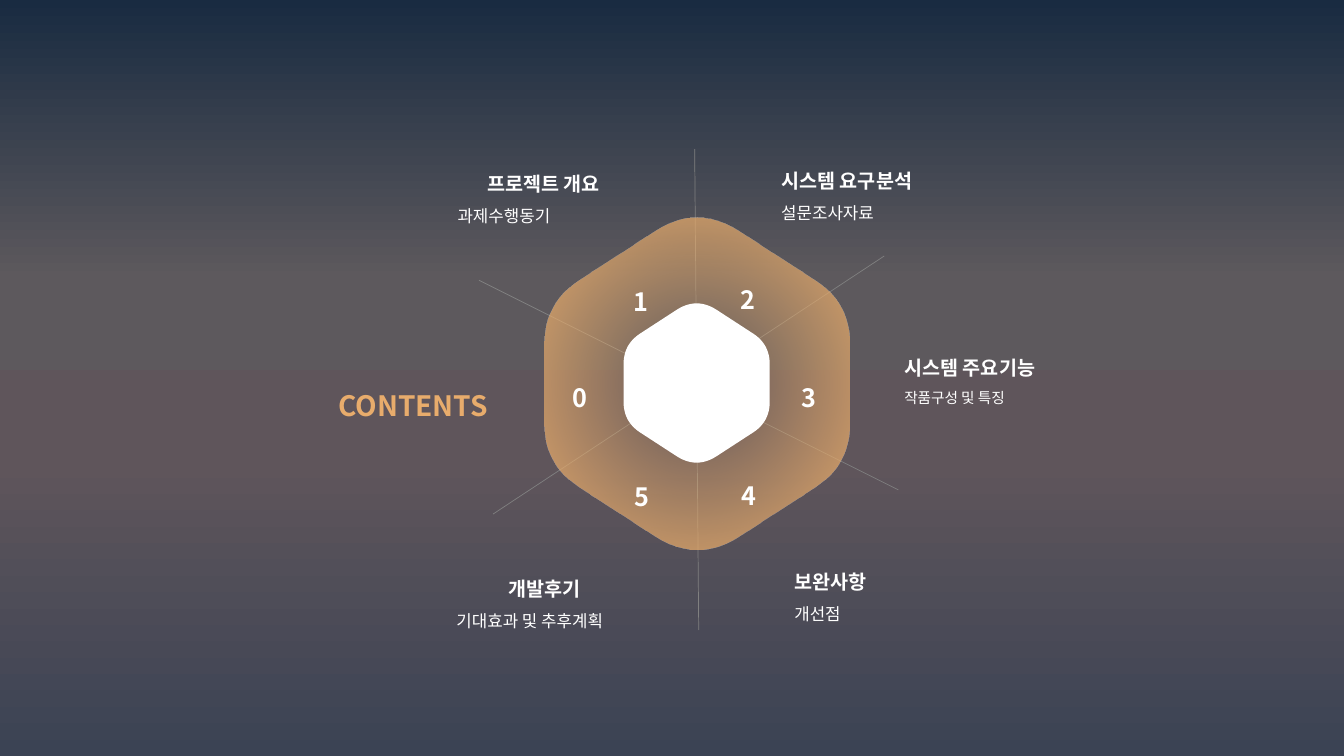
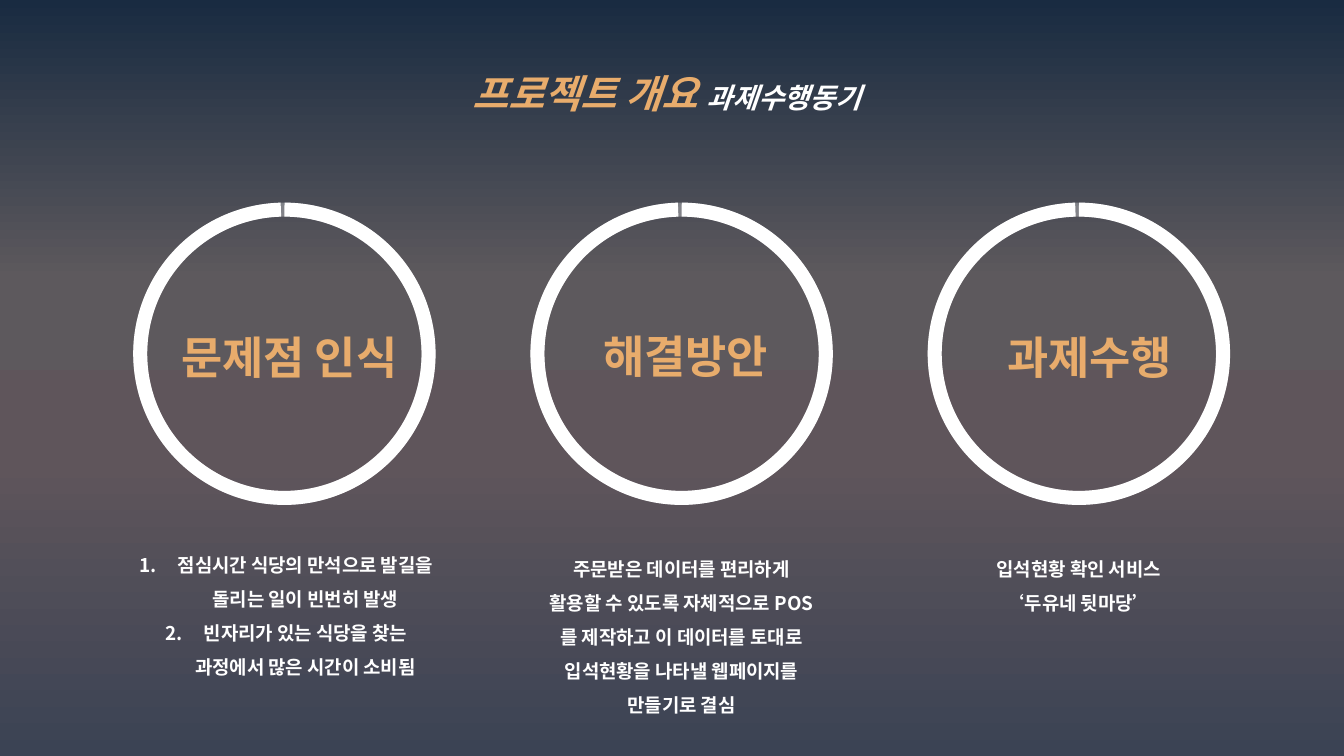
from math import hypot
from lxml.etree import SubElement as Sub
from pptx import Presentation
from pptx.dml.color import RGBColor as Rgb
from pptx.enum.shapes import MSO_CONNECTOR as Conn, MSO_SHAPE as Kind
from pptx.enum.text import MSO_ANCHOR as Anchor, MSO_AUTO_SIZE as Fit, PP_ALIGN as Align
from pptx.oxml.ns import qn
from pptx.util import Inches, Pt

FACE = "Noto Sans CJK KR"
HUE = {"navy": "192B41", "stone": "5D595D", "mauve": "5F555B", "slate": "3B4354",
       "gold": "E8AC6C", "white": "FFFFFF", "gray": "808080"}
BACK = [(0, "navy", 100), (37, "stone", 100), (61, "mauve", 100), (100, "slate", 100)]
GLOW = [(0, "gold", 0), (100, "gold", 100)]

# Hexagon: centre, corner points and rounding length of each corner
MID = (6.91, 3.8)
CORNERS = [(0, -1.78, 0.49), (1.51, -0.8, 0.41), (1.51, 0.8, 0.41),
           (0, 1.78, 0.49), (-1.51, 0.8, 0.41), (-1.51, -0.8, 0.41)]
SPOKES = [(4.75, 2.78, 8.91, 4.86), (4.89, 5.1, 8.77, 2.54), (6.93, 6.25, 6.89, 1.48)]
DIGITS = [("0", 5.75, 3.59), ("1", 6.36, 2.64), ("2", 7.42, 2.62),
          ("3", 8.02, 3.59), ("4", 7.43, 4.57), ("5", 6.37, 4.58)]
# Left, top, heading, its indent, detail, its indent, detail size (no indent: right-aligned)
TOPICS = [
    (2.46, 1.54, "프로젝트 개요", None, "과제수행동기", 1.98, 12),
    (7.65, 1.51, "시스템 요구분석", 0, "설문조사자료", 0, 12),
    (8.87, 3.37, "시스템 주요기능", 0, "작품구성 및 특징", 0, 10.5),
    (7.78, 5.49, "보완사항", 0, "개선점", 0, 12),
    (2.49, 5.56, "개발후기", 2.45, "기대효과 및 추후계획", None, 12),
]
# Heading, its shift and top, body box, body rows, numbered or not
STEPS = [
    ("문제점 인식", 0.05, 3.22, (1.22, 5.33, 3.24, 1.42),
     ["점심시간 식당의 만석으로 발길을 돌리는 일이 빈번히 발생",
      "빈자리가 있는 식당을 찾는 과정에서 많은 시간이 소비됨"], True),
    ("해결방안", 0.04, 3.21, (5.33, 5.37, 2.86, 1.82),
     ["주문받은 데이터를 편리하게 활용할 수 있도록 자체적으로 POS를 제작하고 "
      "이 데이터를 토대로 입석현황을 나타낼 웹페이지를 만들기로 결심"], False),
    ("과제수행", 0.11, 3.22, (9.27, 5.37, 2.86, 0.74),
     ["입석현황 확인 서비스", "‘두유네 뒷마당’"], False),
]


def rgb(name):
    return Rgb.from_string(HUE[name])


def place(box):
    return [Inches(v) for v in box]


def ramp(node, stops, angle=None):
    """Fill the gradient in node: linear with an angle, else from the centre."""
    grad = next(node.iter(qn("a:gradFill")))
    grad.clear()
    items = Sub(grad, qn("a:gsLst"))
    for pos, name, alpha in stops:
        stop = Sub(items, qn("a:gs"), pos=str(pos * 1000))
        tint = Sub(stop, qn("a:srgbClr"), val=HUE[name])
        if alpha < 100:
            Sub(tint, qn("a:alpha"), val=str(alpha * 1000))
    if angle is None:
        ring = Sub(grad, qn("a:path"), path="circle")
        Sub(ring, qn("a:fillToRect"), dict.fromkeys("ltrb", "50000"))
    else:
        Sub(grad, qn("a:lin"), ang=str(angle * 60000), scaled="0")


def style(font, size, hue="white", bold=True, slant=False):
    font.name, font.size, font.bold, font.italic = FACE, Pt(size), bold, slant
    font.color.rgb = rgb(hue)
    Sub(font._rPr, qn("a:ea"), typeface=FACE)


def row(frame, text, align, space=1.5):
    """Use the first empty paragraph, or add one."""
    para = frame.paragraphs[0]
    if para.runs:
        para = frame.add_paragraph()
    para.add_run().text = text
    para.alignment, para.line_spacing = align, space
    return para


def indent(para, left, first=0):
    props = para._p.get_or_add_pPr()
    props.set("marL", str(Inches(left)))
    props.set("indent", str(Inches(first)))
    return props


def area(slide, box):
    frame = slide.shapes.add_textbox(*place(box)).text_frame
    frame.word_wrap = True
    return frame


def head(slide, box):
    """Move the title placeholder and return its empty frame."""
    title = slide.shapes.title
    title.left, title.top, title.width, title.height = place(box)
    frame = title.text_frame
    frame.word_wrap, frame.auto_size = True, Fit.NONE
    frame.vertical_anchor = Anchor.TOP
    return frame


def spoke(slide, ends):
    line = slide.shapes.add_connector(Conn.STRAIGHT, *place(ends))
    line.line.color.rgb, line.line.width = rgb("gray"), Pt(0.5)
    Sub(line.element.spPr, qn("a:effectLst"))


def toward(start, end, reach):
    """Point at a given distance from start on the way to end."""
    part = reach / hypot(end[0] - start[0], end[1] - start[1])
    return [a + (b - a) * part for a, b in zip(start, end)]


def hexagon(slide, scale):
    dots = []
    for i, (x, y, reach) in enumerate(CORNERS):
        tip = (x, y)
        a = toward(tip, CORNERS[i - 1][:2], reach)
        b = toward(tip, CORNERS[(i + 1) % 6][:2], reach)
        for step in range(13):
            t = step / 12
            dots.append([Inches(m + scale * ((1 - t) ** 2 * p + 2 * t * (1 - t) * q + t * t * r))
                         for m, p, q, r in zip(MID, a, tip, b)])
    path = slide.shapes.build_freeform(*dots[0])
    path.add_line_segments(dots[1:], close=True)
    shape = path.convert_to_shape()
    shape.shadow.inherit = False
    shape.line.fill.background()
    return shape


def ring(slide, kind, box):
    shape = slide.shapes.add_shape(kind, *place(box))
    shape.shadow.inherit = False
    shape.fill.background()
    shape.line.color.rgb, shape.line.width = rgb("white"), Pt(10)
    return shape


def circle(slide, left):
    """Faint full ring under an almost closed arc."""
    box = (left, 2.08, 2.86, 2.86)
    base = ring(slide, Kind.OVAL, box)
    tint = next(base.element.spPr.iter(qn("a:srgbClr")))
    Sub(tint, qn("a:alpha"), val="30000")
    arc = ring(slide, Kind.ARC, box)
    for i, angle in enumerate((162, 160.6)):
        arc.adjustments[i] = angle * 0.6
    arc.rotation = 108


def contents(slide):
    para = row(head(slide, (1.35, 3.64, 3.59, 0.54)), "CONTENTS", Align.RIGHT)
    style(para.font, 20, "gold")
    # Topic labels
    for left, top, name, name_in, note, note_in, size in TOPICS:
        frame = area(slide, (left, top, 3.59, 0.76))
        for text, shift, pts, bold in ((name, name_in, 14, True), (note, note_in, size, False)):
            para = row(frame, text, Align.RIGHT if shift is None else Align.LEFT)
            if shift:
                indent(para, shift)
            style(para.font, pts, bold=bold)
    # Wheel
    for ends in SPOKES:
        spoke(slide, ends)
    outer = hexagon(slide, 1)
    outer.fill.gradient()
    ramp(outer.element.spPr, GLOW)
    inner = hexagon(slide, 0.48)
    inner.fill.solid()
    inner.fill.fore_color.rgb = rgb("white")
    for digit, mid, top in DIGITS:
        para = row(area(slide, (mid - 0.3, top, 0.6, 0.5)), digit, Align.CENTER)
        style(para.font, 18)


def overview(slide):
    para = row(head(slide, (3.6, 0.4, 6.03, 0.72)), "프로젝트 개요 ", Align.CENTER)
    style(para.runs[0].font, 28, "gold", slant=True)
    run = para.add_run()
    run.text = "과제수행동기"
    style(run.font, 20, slant=True)
    # Three columns
    for i, (name, shift, top, box, rows, listed) in enumerate(STEPS):
        left = 1.39 + 3.94 * i
        circle(slide, left)
        para = row(area(slide, (left + 0.08 + shift, top, 2.7, 0.64)), name, Align.CENTER, 1.0)
        style(para.font, 32, "gold")
        frame = area(slide, box)
        for text in rows:
            para = row(frame, text, Align.CENTER)
            if listed:
                Sub(indent(para, 0.38, -0.38), qn("a:buAutoNum"), type="arabicPeriod")
            style(para.font, 13.5)


def main():
    deck = Presentation()
    deck.slide_width, deck.slide_height = Inches(13.33), Inches(7.5)
    # Shared background
    master = deck.slide_master
    master.background.fill.gradient()
    ramp(master.element, BACK, 90)
    for draw in (contents, overview):
        draw(deck.slides.add_slide(deck.slide_layouts[5]))
    deck.save("out.pptx")


if __name__ == "__main__":
    main()
